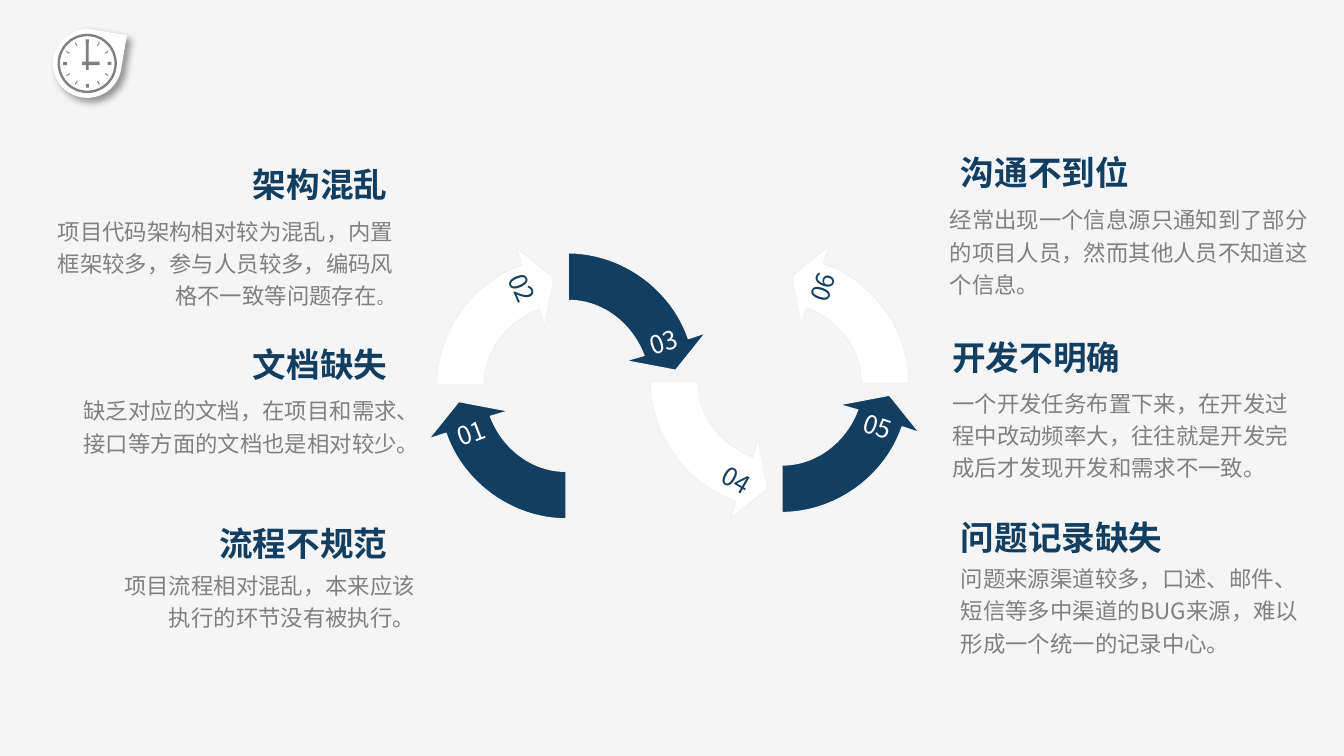
import pptx
import pptx.util
import pptx.dml.color
import pptx.enum.shapes
import pptx.enum.text
import pptx.oxml
import pptx.oxml.ns
import lxml.etree
import math

Cm, Pt = pptx.util.Cm, pptx.util.Pt
RGB = pptx.dml.color.RGBColor.from_string
SHAPE = pptx.enum.shapes.MSO_SHAPE
ALIGN = pptx.enum.text.PP_ALIGN
FIT = pptx.enum.text.MSO_AUTO_SIZE
qn = pptx.oxml.ns.qn
FONT = "Noto Sans CJK SC"
COLORS = {"back": "F5F5F6", "white": "FFFFFF", "navy": "123E61", "gray": "808080", "edge": "F2F2F2"}

prs = pptx.Presentation()
prs.slide_width, prs.slide_height = Cm(25.4), Cm(14.29)
s = prs.slides.add_slide(prs.slide_layouts[6])
s.background.fill.solid()
s.background.fill.fore_color.rgb = RGB(COLORS["back"])


def add_solid(kind, cx, cy, w, h, color, rotation=0):
    sp = s.shapes.add_shape(kind, Cm(cx - w / 2), Cm(cy - h / 2), Cm(w), Cm(h))
    sp.rotation = rotation
    sp.shadow.inherit = False
    sp.fill.solid()
    sp.fill.fore_color.rgb = RGB(COLORS[color])
    sp.line.fill.background()
    return sp


def add_text(text, box, size, color, align, bold=None, spacing=None, wrap=True):
    sp = s.shapes.add_textbox(*[Cm(v) for v in box])
    tf = sp.text_frame
    tf.word_wrap = wrap
    tf.auto_size = FIT.SHAPE_TO_FIT_TEXT if wrap else FIT.NONE
    p = tf.paragraphs[0]
    p.add_run().text = text
    p.alignment, p.line_spacing = align, spacing
    p.font.size, p.font.bold, p.font.name = Pt(size), bold, FONT
    p.font.color.rgb = RGB(COLORS[color])
    ea = lxml.etree.SubElement(p._p.find(".//" + qn("a:defRPr")), qn("a:ea"))
    ea.set("typeface", FONT)
    return sp


cx, cy = 1.65, 1.2
drop = add_solid(SHAPE.TEAR, cx, cy, 1.3, 1.3, "white", 9.5)
drop._element.spPr.find(qn("a:effectLst")).append(pptx.oxml.parse_xml(
    '<a:outerShdw xmlns:a="http://schemas.openxmlformats.org/drawingml/2006/main" '
    'blurRad="50800" dist="38100" dir="2700000" algn="tl" rotWithShape="0">'
    '<a:srgbClr val="000000"><a:alpha val="40000"/></a:srgbClr></a:outerShdw>'))
dial = add_solid(SHAPE.DONUT, cx, cy, 1.12, 1.12, "gray")
dial.adjustments[0] = 0.04
for i in range(12):
    a = math.radians(30 * i)
    w = 0.02 if i % 3 else 0.06
    add_solid(SHAPE.RECTANGLE, cx + 0.42 * math.sin(a), cy - 0.42 * math.cos(a), w, 0.07, "gray", 30 * i)
add_solid(SHAPE.RECTANGLE, cx, 1.07, 0.05, 0.51, "gray")
add_solid(SHAPE.RECTANGLE, 1.72, cy, 0.33, 0.07, "gray")

LENGTH, DEPTH, STEPS = 2.6, 2.22, 24
outer = [(0.33, 0.6), (0.64, 1.52), (1.57, 2.22), (2.6, 2.22)]
inner = [(2.6, 1.32), (1.96, 1.32), (1.4, 0.89), (1.17, 0.28)]
outline = [(0.57, 0), (0, 0.71)]
for curve in (outer, inner):
    for i in range(STEPS + 1):
        t = i / STEPS
        weights = [math.comb(3, k) * t ** k * (1 - t) ** (3 - k) for k in range(4)]
        outline.append(tuple(sum(b * c[axis] for b, c in zip(weights, curve)) for axis in (0, 1)))
outline.append((1.52, 0.18))

arrows = [
    ("01", 8.1, 7.59, False, False, False, 8.43, 7.77, 339.6),
    ("02", 8.25, 4.68, True, True, False, 9.45, 5.05, 66.7),
    ("03", 10.74, 4.78, False, True, True, 12.07, 6.05, 341.9),
    ("04", 12.29, 7.21, True, True, True, 13.49, 8.66, 30),
    ("05", 14.78, 7.47, False, True, False, 16.15, 7.65, 18.3),
    ("06", 14.96, 4.65, True, False, False, 15.06, 5.03, 289.3),
]
for label, left, top, upright, flip_x, flip_y, tx, ty, angle in arrows:
    w, h = (DEPTH, LENGTH) if upright else (LENGTH, DEPTH)
    points = []
    for x, y in outline:
        if upright:
            x, y = y, x
        points.append((Cm(left + (w - x if flip_x else x)), Cm(top + (h - y if flip_y else y))))
    fb = s.shapes.build_freeform(*points[0])
    fb.add_line_segments(points[1:])
    sp = fb.convert_to_shape()
    sp.shadow.inherit = False
    sp.fill.solid()
    sp.fill.fore_color.rgb = RGB(COLORS["white" if upright else "navy"])
    sp.line.color.rgb = RGB(COLORS["edge"])
    sp.line.width = Pt(0.75)
    number = add_text(label, (tx, ty, 0.91, 0.76), 13.5, "navy" if upright else "white", ALIGN.CENTER, wrap=False)
    number.rotation = angle

issues = [
    ("沟通不到位", 17.91, 2.59, ALIGN.LEFT, (17.7, 3.68, 7.37, 2.11),
     "经常出现一个信息源只通知到了部分的项目人员，然而其他人员不知道这个信息。"),
    ("架构混乱", 2.9, 2.82, ALIGN.RIGHT, (0.53, 3.89, 7.16, 2.11),
     "项目代码架构相对较为混乱，内置框架较多，参与人员较多，编码风格不一致等问题存在"),
    ("开发不明确", 17.75, 6.1, ALIGN.LEFT, (17.75, 7.14, 7.26, 2.11),
     "一个开发任务布置下来，在开发过程中改动频率大，往往就是开发完成后才发现开发和需求不一致。"),
    ("文档缺失", 2.9, 6.22, ALIGN.RIGHT, (1.14, 7.29, 7.04, 1.96),
     "缺乏对应的文档，在项目和需求、接口等方面的文档也是相对较少。"),
    ("问题记录缺失", 17.91, 9.5, ALIGN.LEFT, (17.91, 10.46, 7.19, 2.11),
     "问题来源渠道较多，口述、邮件、短信等多中渠道的BUG来源，难以形成一个统一的记录中心。"),
    ("流程不规范", 2.9, 9.6, ALIGN.RIGHT, (1.68, 10.59, 6.42, 1.47),
     "项目流程相对混乱，本来应该执行的环节没有被执行。"),
]
for title, left, top, align, box, detail in issues:
    add_text(title, (left, top, 4.67, 1.17), 18, "navy", align, True, 1.2)
    sp = add_text(detail, box, 12, "gray", align, spacing=1.2)
    if not detail.endswith("。"):
        r = sp.text_frame.paragraphs[0].add_run()
        r.text = "。"
        r.font.size = Pt(9)

prs.save("out.pptx")
